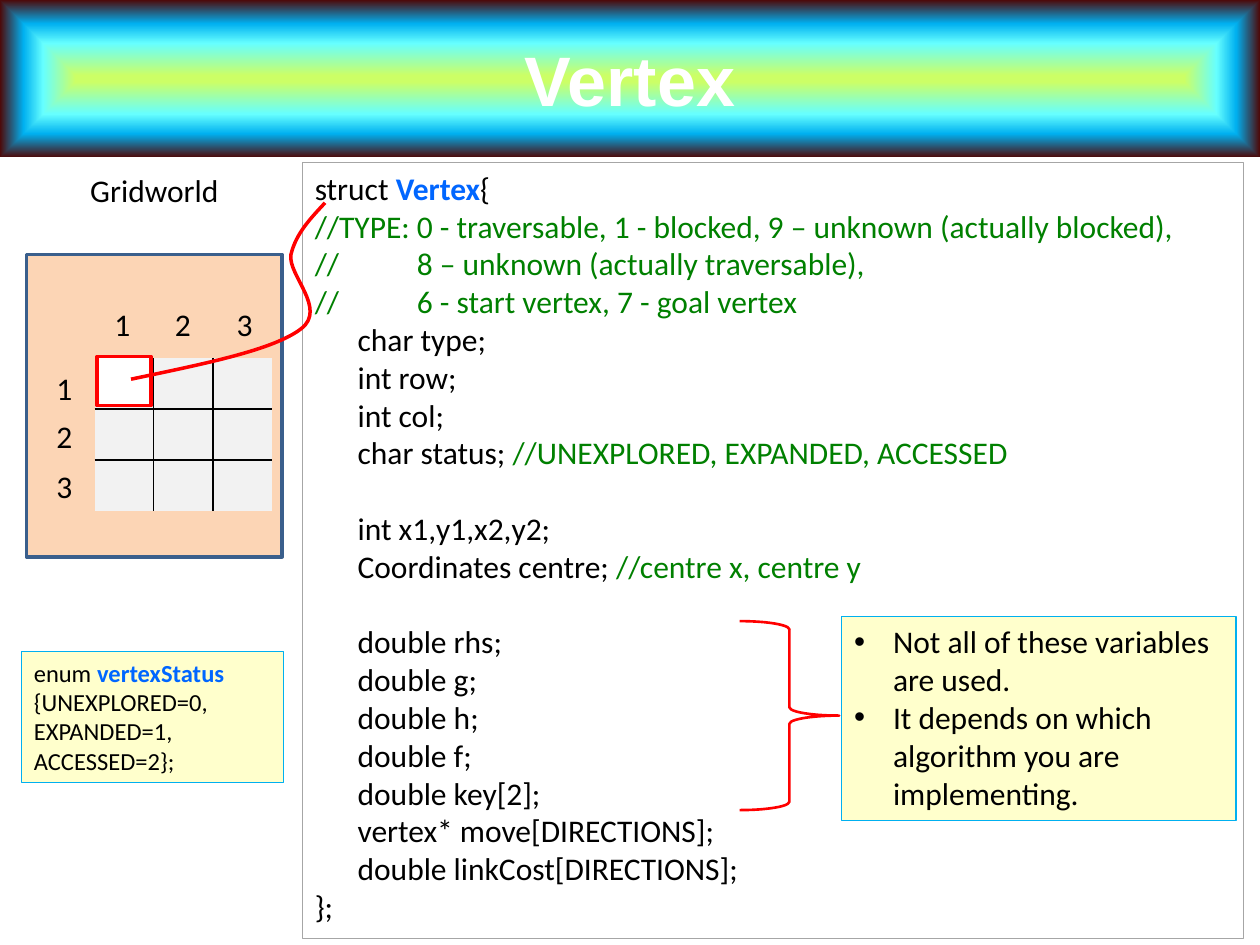
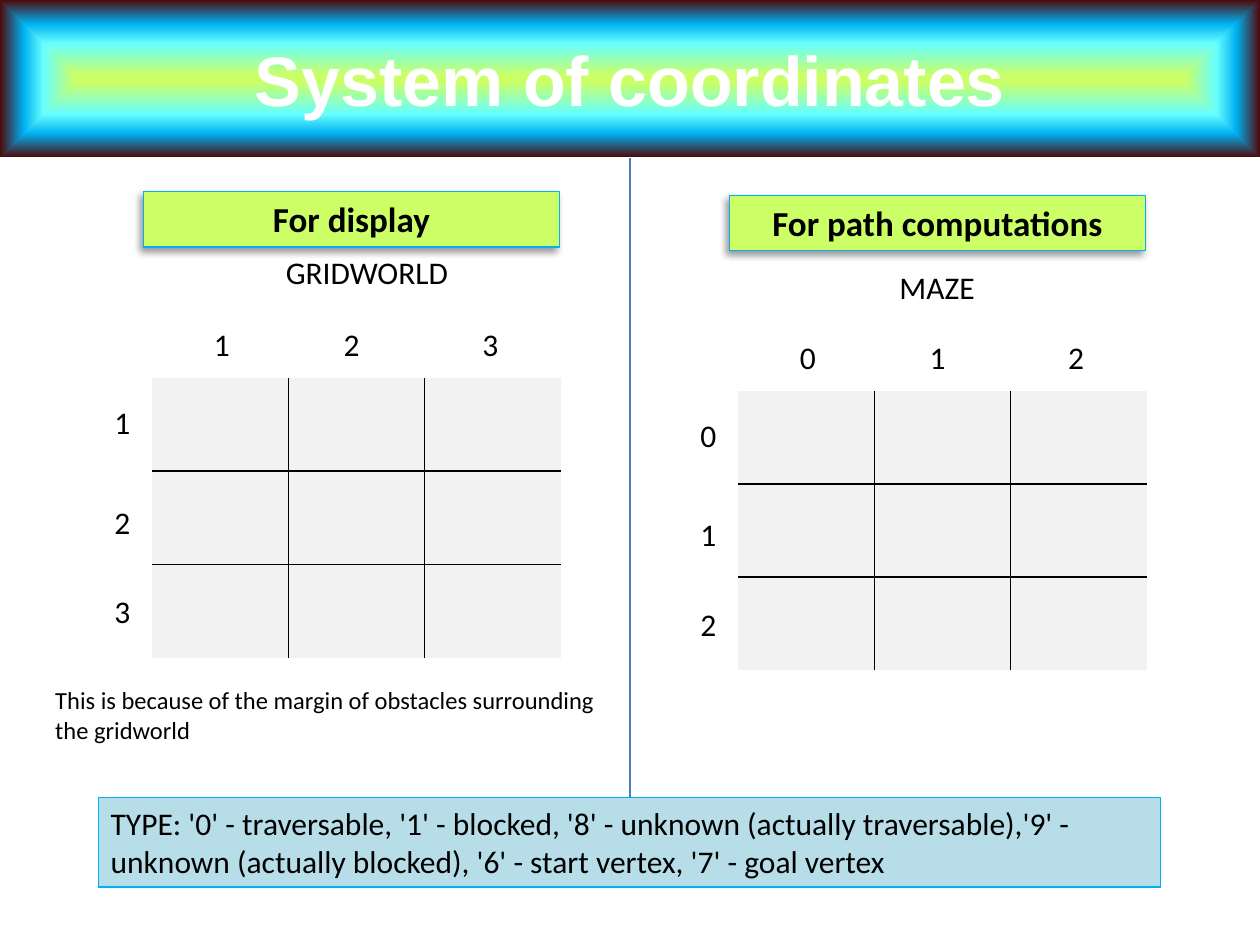
"""Two slides on the grid vertex: its structure and its coordinate systems."""
from dataclasses import dataclass
from typing import Optional

from lxml import etree
from pptx import Presentation
from pptx import slide as sld
from pptx import util as u
from pptx.dml import color
from pptx.enum import shapes, text
from pptx.oxml import ns
from pptx.shapes import autoshape
from pptx.text import text as txt

COLORS = {
    "black": "000000", "white": "FFFFFF", "red": "FF0000",
    "name": "0066FF", "comment": "008000",
    "lime": "CCFF66", "aqua": "66FFFF", "sky": "00B0F0", "maroon": "4D0808",
    "cell": "F2F2F2", "peach": "FCD5B5", "note": "FFFFCC", "legend": "B7DEE8",
    "frame": "3A5F8C", "divider": "4B7EBC", "gray": "A6A6A6",
}
BAND_STOPS = ((4, "lime"), (45, "aqua"), (70, "sky"), (100, "maroon"))
BODY_FONT, TITLE_FONT = "Calibri", "Arial"
SIZE = 3
CODE_INDENT, COMMENT_TAB = 0.34, 0.81
BLANK_LINE = 21.6


@dataclass(frozen=True)
class Line:
    """A paragraph: (text, colour) runs, left indent and space before."""
    runs: tuple[tuple[str, str], ...]
    indent: float = 0
    before: float = 0
    bullet: bool = False
    tab: float = 0


@dataclass(frozen=True)
class Box:
    """Place and look of a rectangle."""
    left: float
    top: float
    width: float
    height: float
    fill: Optional[str] = None
    line: Optional[str] = None
    weight: float = 0.75


@dataclass(frozen=True)
class Grid:
    """A square table of cells with numbers above and to the left."""
    left: float
    top: float
    cell_width: float
    cell_height: float
    first: int
    column_offsets: tuple[float, ...]
    row_offsets: tuple[float, ...]


def rgb(name: str) -> color.RGBColor:
    """Look up a colour."""
    return color.RGBColor.from_string(COLORS[name])


def add_xml(parent: etree._Element, tag: str, **attributes: object) -> etree._Element:
    """Append a drawing element and return it."""
    return etree.SubElement(parent, ns.qn(f"a:{tag}"),
                            {key: str(value) for key, value in attributes.items()})


def plain(content: str, shade: str = "black", **layout: float) -> Line:
    """Make a paragraph of one colour."""
    return Line(((content, shade),), **layout)


def code(content: str, comment: str = "", before: float = 0) -> Line:
    """Make an indented line of code with an optional comment."""
    runs = ((content, "black"),) + (((comment, "comment"),) if comment else ())
    return Line(runs, CODE_INDENT, before)


def write(frame: txt.TextFrame if hasattr(txt, "TextFrame") else object,
          lines: list[Line], size: float = 18, font: str = BODY_FONT,
          bold: bool = False, centred: bool = False) -> None:
    """Fill a text frame with paragraphs."""
    for number, line in enumerate(lines):
        paragraph = frame.paragraphs[0] if number == 0 else frame.add_paragraph()
        paragraph.alignment = text.PP_ALIGN.CENTER if centred else text.PP_ALIGN.LEFT
        properties = paragraph._p.get_or_add_pPr()
        if line.indent:
            properties.set("marL", str(u.Inches(line.indent)))
        if line.bullet:
            properties.set("indent", str(-u.Inches(line.indent)))
            add_xml(properties, "buFont", typeface="Arial")
            add_xml(properties, "buChar", char="•")
        if line.tab:
            add_xml(add_xml(properties, "tabLst"), "tab", pos=u.Inches(line.tab), algn="l")
        if line.before:
            paragraph.space_before = u.Pt(line.before)
        paragraph.font.name = font
        paragraph.font.size = u.Pt(size)
        paragraph.font.bold = bold
        shades = {shade for _, shade in line.runs}
        if len(shades) == 1:
            paragraph.font.color.rgb = rgb(shades.pop())
        for content, shade in line.runs:
            run = paragraph.add_run()
            run.text = content
            if len(line.runs) > 1:
                run.font.color.rgb = rgb(shade)
                if shade == "name":
                    run.font.bold = True


def outline(shape: autoshape.Shape, line: Optional[str], weight: float) -> None:
    """Set the outline of a shape and drop its shadow."""
    shape.shadow.inherit = False
    if line:
        shape.line.color.rgb = rgb(line)
        shape.line.width = u.Pt(weight)
    else:
        shape.line.fill.background()


def panel(slide: sld.Slide, box: Box,
          kind: shapes.MSO_SHAPE = shapes.MSO_SHAPE.RECTANGLE) -> autoshape.Shape:
    """Draw a preset shape, ready for text from the top."""
    shape = slide.shapes.add_shape(kind, u.Inches(box.left), u.Inches(box.top),
                                   u.Inches(box.width), u.Inches(box.height))
    outline(shape, box.line, box.weight)
    if box.fill:
        shape.fill.solid()
        shape.fill.fore_color.rgb = rgb(box.fill)
    else:
        shape.fill.background()
    shape.text_frame.word_wrap = True
    shape.text_frame.vertical_anchor = text.MSO_ANCHOR.TOP
    return shape


def label(slide: sld.Slide, content: str, left: float, top: float, width: float = 0.33,
          height: float = 0.4, size: float = 18, wrap: bool = False,
          centred: bool = False) -> None:
    """Write text without a frame."""
    frame = slide.shapes.add_textbox(u.Inches(left), u.Inches(top),
                                     u.Inches(width), u.Inches(height)).text_frame
    frame.word_wrap = wrap
    frame.auto_size = text.MSO_AUTO_SIZE.SHAPE_TO_FIT_TEXT
    write(frame, [plain(content)], size, centred=centred)


def title_band(slide: sld.Slide, title: str) -> None:
    """Draw the gradient band with the slide title."""
    band = panel(slide, Box(0, 0, 10, 1.25))
    band.fill.gradient()
    gradient = band._element.spPr.find(ns.qn("a:gradFill"))
    for child in list(gradient):
        gradient.remove(child)
    stops = add_xml(gradient, "gsLst")
    for position, shade in BAND_STOPS:
        add_xml(add_xml(stops, "gs", pos=position * 1000), "srgbClr", val=COLORS[shade])
    add_xml(add_xml(gradient, "path", path="shape"), "fillToRect",
            l=50000, t=50000, r=50000, b=50000)
    band.text_frame.vertical_anchor = text.MSO_ANCHOR.MIDDLE
    write(band.text_frame, [plain(title, "white")], 40, TITLE_FONT, bold=True, centred=True)


def draw_grid(slide: sld.Slide, grid: Grid) -> None:
    """Draw the cells with inner borders, then number columns and rows."""
    table = slide.shapes.add_table(
        SIZE, SIZE, u.Inches(grid.left), u.Inches(grid.top),
        u.Inches(SIZE * grid.cell_width), u.Inches(SIZE * grid.cell_height)).table
    table.first_row = table.horz_banding = False
    for index in range(SIZE):
        table.columns[index].width = u.Inches(grid.cell_width)
        table.rows[index].height = u.Inches(grid.cell_height)
    for row in range(SIZE):
        for column in range(SIZE):
            cell = table.cell(row, column)
            properties = cell._tc.get_or_add_tcPr()
            inner = {"lnL": column > 0, "lnR": column < SIZE - 1,
                     "lnT": row > 0, "lnB": row < SIZE - 1}
            for side, drawn in inner.items():
                border = add_xml(properties, side, w=u.Pt(1))
                if drawn:
                    add_xml(add_xml(border, "solidFill"), "srgbClr", val=COLORS["black"])
                else:
                    add_xml(border, "noFill")
            cell.fill.solid()
            cell.fill.fore_color.rgb = rgb("cell")
    for number, offset in enumerate(grid.column_offsets, grid.first):
        label(slide, str(number), grid.left + offset, grid.top - 0.47)
    for number, offset in enumerate(grid.row_offsets, grid.first):
        label(slide, str(number), grid.left - 0.4, grid.top + offset)


def draw_curve(slide: sld.Slide, points: list[tuple[float, float]]) -> None:
    """Draw a red curve: a start, then two handles and an end per segment."""
    start, *rest = [(u.Inches(x), u.Inches(y)) for x, y in points]
    builder = slide.shapes.build_freeform(*start)
    builder.add_line_segments(rest, close=False)
    curve = builder.convert_to_shape()
    steps = list(curve._element.iter(ns.qn("a:lnTo")))
    outline_xml = steps[0].getparent()
    for first in range(0, len(steps), 3):
        bezier = add_xml(outline_xml, "cubicBezTo")
        for step in steps[first:first + 3]:
            bezier.append(step[0])
            outline_xml.remove(step)
    curve.fill.background()
    outline(curve, "red", 2)


def heading(slide: sld.Slide, content: str, left: float, top: float) -> None:
    """Draw a lime column heading with a soft shadow."""
    plate = panel(slide, Box(left, top, 3.3, 0.44, "lime", "sky"))
    shadow = add_xml(plate._element.spPr.find(ns.qn("a:effectLst")), "outerShdw",
                     blurRad=u.Pt(4), dist=u.Pt(3), dir=135 * 60000,
                     algn="tr", rotWithShape=0)
    add_xml(add_xml(shadow, "srgbClr", val=COLORS["black"]), "alpha", val=40000)
    write(plate.text_frame, [plain(content)], 20, bold=True, centred=True)


STRUCT = [
    Line((("struct ", "black"), ("Vertex", "name"), ("{", "black"))),
    plain("//TYPE: 0 - traversable, 1 - blocked, 9 – unknown (actually blocked),", "comment"),
    plain("//\t8 – unknown (actually traversable),", "comment", tab=COMMENT_TAB),
    plain("//\t6 - start vertex, 7 - goal vertex", "comment", tab=COMMENT_TAB),
    code("char type;"), code("int row;"), code("int col;"),
    code("char status; ", "//UNEXPLORED, EXPANDED, ACCESSED"),
    code("int x1,y1,x2,y2;", before=BLANK_LINE),
    code("Coordinates centre; ", "//centre x, centre y"),
    code("double rhs;", before=BLANK_LINE),
    code("double g;"), code("double h;"), code("double f;"), code("double key[2];"),
    code("vertex* move[DIRECTIONS];"), code("double linkCost[DIRECTIONS];"),
    plain("};"),
]


def vertex_slide(slide: sld.Slide) -> None:
    """Show the vertex structure beside one cell of the gridworld."""
    title_band(slide, "Vertex")
    panel(slide, Box(0.21, 2.02, 2.03, 2.4, "peach", "frame", 2))
    draw_grid(slide, Grid(0.75, 2.84, 0.47, 0.4, 1, (0.06, 0.54, 1.03), (0.04, 0.42, 0.82)))
    label(slide, "Gridworld", 0.2, 1.31, 2.05, wrap=True, centred=True)
    struct = panel(slide, Box(2.4, 1.29, 7.47, 6.16, line="gray"))
    write(struct.text_frame, STRUCT)
    panel(slide, Box(0.77, 2.83, 0.43, 0.39, "white", "red", 2))
    draw_curve(slide, [(1.04, 3.01), (1.61, 2.89), (2.17, 2.78), (2.39, 2.61),
                       (2.6, 2.45), (2.28, 2.18), (2.31, 2.02),
                       (2.35, 1.85), (2.47, 1.73), (2.58, 1.61)])
    panel(slide, Box(5.87, 4.93, 0.79, 1.5, line="red", weight=1.5),
          shapes.MSO_SHAPE.RIGHT_BRACE)
    usage = panel(slide, Box(6.68, 4.89, 3.13, 1.62, "note", "sky"))
    write(usage.text_frame, [plain(remark, indent=0.31, bullet=True) for remark in (
        "Not all of these variables are used.",
        "It depends on which algorithm you are implementing.")])
    status = panel(slide, Box(0.17, 5.17, 2.08, 1.04, "note", "sky"))
    write(status.text_frame, [Line((
        ("enum ", "black"), ("vertexStatus ", "name"),
        ("{UNEXPLORED=0, EXPANDED=1, ACCESSED=2};", "black")))], 14)


def coordinates_slide(slide: sld.Slide) -> None:
    """Compare the display numbering with the path computation numbering."""
    title_band(slide, "System of coordinates")
    for left, top, first in ((1.21, 3, 1), (5.86, 3.1, 0)):
        draw_grid(slide, Grid(left, top, 1.08, 0.74, first,
                              (0.39, 1.42, 2.52), (0.15, 0.94, 1.65)))
    label(slide, "GRIDWORLD", 2.17, 1.96, 1.5)
    label(slide, "MAZE", 7.04, 2.08, 0.8)
    heading(slide, "For display", 1.14, 1.52)
    heading(slide, "For path computations", 5.79, 1.55)
    divider = slide.shapes.add_connector(shapes.MSO_CONNECTOR.STRAIGHT, u.Inches(5),
                                         u.Inches(1.25), u.Inches(5), u.Inches(6.33))
    divider.line.color.rgb = rgb("divider")
    divider.line.width = u.Pt(0.75)
    add_xml(divider._element.spPr, "effectLst")
    legend = panel(slide, Box(0.78, 6.33, 8.43, 0.71, "legend", "sky"))
    write(legend.text_frame, [plain(
        "TYPE: '0' - traversable, '1' - blocked, '8' - unknown (actually traversable),"
        "'9' - unknown (actually blocked), '6' - start vertex, '7' - goal vertex")])
    label(slide, "This is because of the margin of obstacles surrounding the gridworld",
          0.34, 5.39, 4.57, 0.57, size=14, wrap=True)


deck = Presentation()
deck.slide_width, deck.slide_height = u.Inches(10), u.Inches(7.5)
for build in (vertex_slide, coordinates_slide):
    build(deck.slides.add_slide(deck.slide_layouts[6]))
deck.save("out.pptx")
